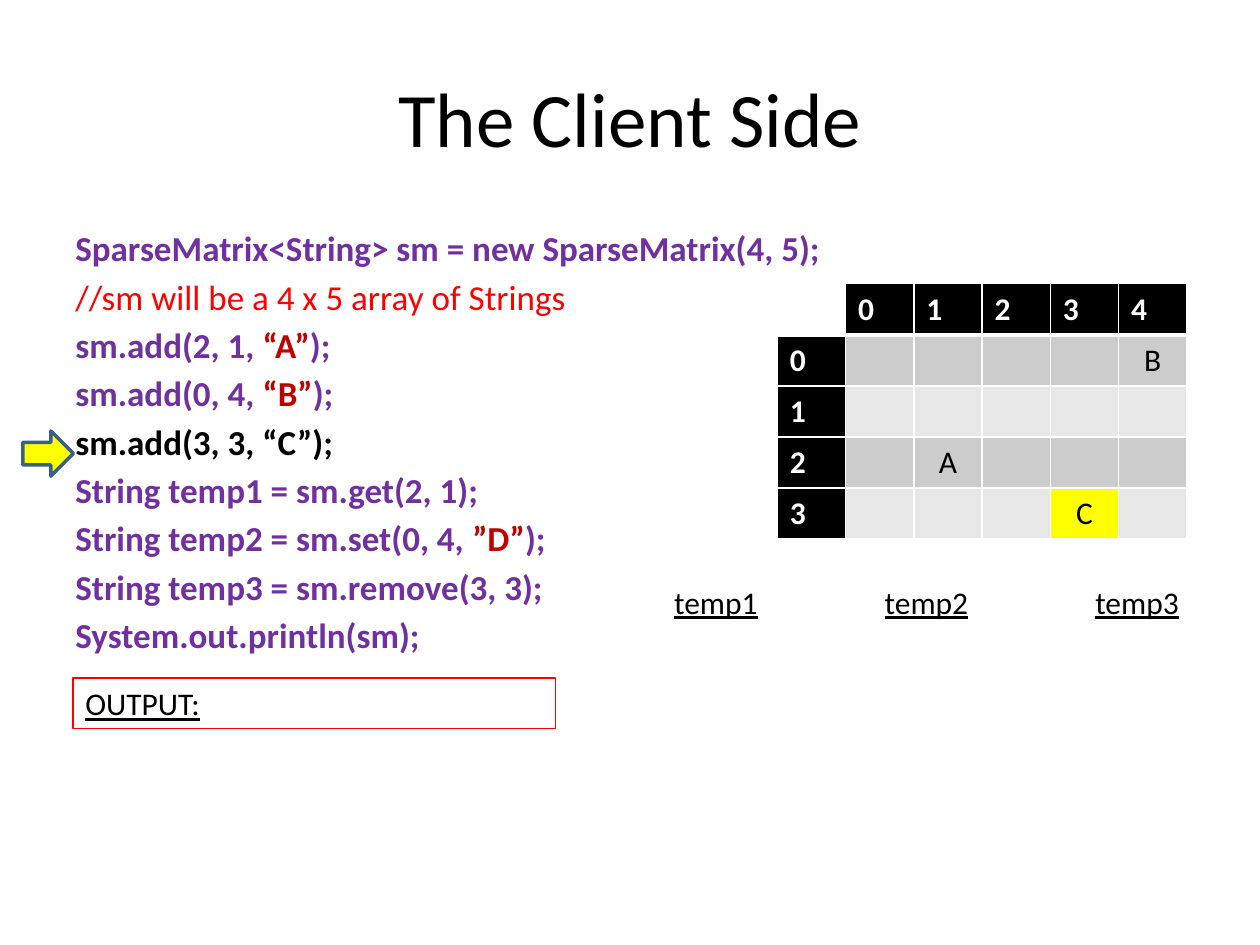
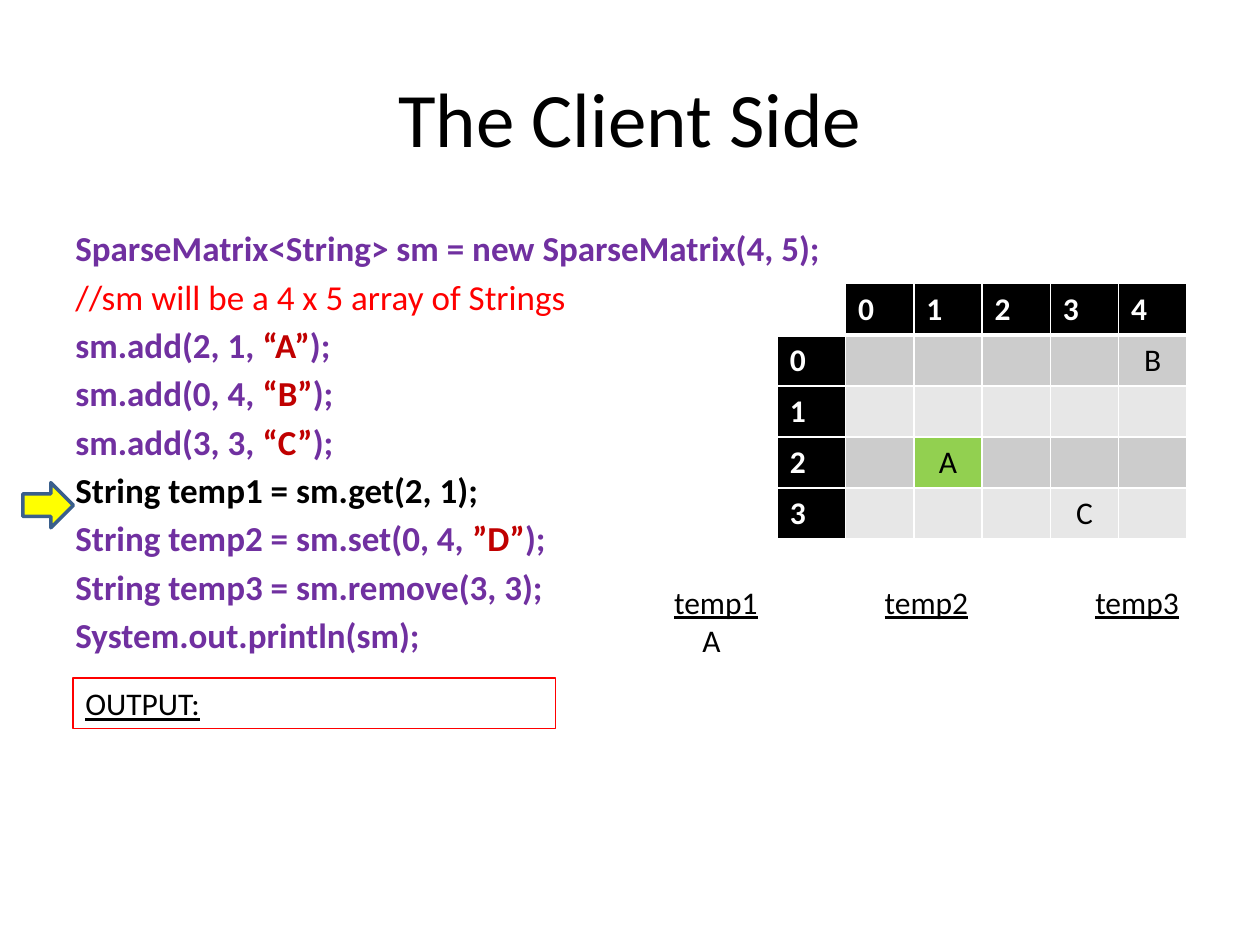
from dataclasses import dataclass

from lxml.etree import SubElement
from pptx import Presentation
from pptx.dml.color import RGBColor
from pptx.enum.shapes import MSO_SHAPE
from pptx.enum.text import MSO_ANCHOR, PP_ALIGN
from pptx.oxml import parse_xml
from pptx.oxml.ns import nsdecls, qn
from pptx.util import Cm, Pt


@dataclass(frozen=True)
class Theme:
    font: str = "Calibri"
    title_size: int = 44
    code_size: int = 20
    text_size: int = 18
    code_gap: float = 3.6
    black: str = "000000"
    white: str = "FFFFFF"
    code: str = "7030A0"
    literal: str = "C00000"
    red: str = "FF0000"
    yellow: str = "FFFF00"
    green: str = "92D050"
    arrow_line: str = "3A5F8C"
    bands: tuple = ("CCCCCC", "E7E7E7")


@dataclass(frozen=True)
class Step:
    active_line: int
    marked_cell: tuple
    mark_color: str
    temp1: str = ""


THEME = Theme()
TITLE = "The Client Side"
COMMENT = "//"
CODE_LINES = [
    ["SparseMatrix<String> sm = new SparseMatrix(4, 5);"],
    ["//sm will be a 4 x 5 array of Strings"],
    ["sm.add(2, 1, ", "“A”", ");"],
    ["sm.add(0, 4, ", "“B”", ");"],
    ["sm.add(3, 3, ", "“C”", ");"],
    ["String temp1 = sm.get(2, 1);"],
    ["String temp2 = sm.set(0, 4, ", "”D”", ");"],
    ["String temp3 = sm.remove(3, 3);"],
    ["System.out.println(sm);"],
]
MATRIX_ROWS, MATRIX_COLUMNS = 4, 5
MATRIX = {(0, 4): "B", (2, 1): "A", (3, 3): "C"}
TEMP_NAMES = ["temp1", "temp2", "temp3"]
TEMP_TAB = 4.245
STEPS = [
    Step(4, (3, 3), THEME.yellow),
    Step(5, (2, 1), THEME.green, "A"),
]


def rgb(color):
    return RGBColor.from_string(color)


def format_run(run, size, color=THEME.black, bold=False, underline=False):
    run.font.name = THEME.font
    run.font.size = Pt(size)
    run.font.color.rgb = rgb(color)
    run.font.bold = bold
    run.font.underline = underline


def add_run(paragraph, text, size, **style):
    run = paragraph.add_run()
    run.text = text
    format_run(run, size, **style)


def add_text_box(slide, left, top, width, height):
    box = slide.shapes.add_textbox(Cm(left), Cm(top), Cm(width), Cm(height))
    box.text_frame.word_wrap = True
    return box


def add_title(slide):
    title = slide.shapes.title
    title.left, title.top, title.width, title.height = Cm(1.27), Cm(0.76), Cm(22.86), Cm(3.18)
    title.text_frame.text = TITLE
    title.text_frame.vertical_anchor = MSO_ANCHOR.MIDDLE
    paragraph = title.text_frame.paragraphs[0]
    paragraph.alignment = PP_ALIGN.CENTER
    format_run(paragraph.runs[0], THEME.title_size)


def add_code(slide, active_line):
    frame = add_text_box(slide, 1.27, 4.45, 22.86, 12.57).text_frame
    for index, parts in enumerate(CODE_LINES):
        paragraph = frame.add_paragraph() if index else frame.paragraphs[0]
        paragraph.space_before = Pt(THEME.code_gap if index else 0)
        comment = parts[0].startswith(COMMENT)
        if index == active_line:
            colors = [THEME.black] * len(parts)
        elif comment:
            colors = [THEME.red]
        else:
            colors = [THEME.code, THEME.literal, THEME.code]
        for part, color in zip(parts, colors):
            add_run(paragraph, part, THEME.code_size, color=color, bold=not comment)


def set_borders(cell, top, bottom):
    properties = cell._tc.get_or_add_tcPr()
    widths = {"lnL": 1, "lnR": 1, "lnT": top, "lnB": bottom}
    for position, (side, width) in enumerate(widths.items()):
        border = parse_xml(
            f'<a:{side} {nsdecls("a")} w="{Pt(width)}"><a:solidFill>'
            f'<a:srgbClr val="{THEME.white}"/></a:solidFill></a:{side}>'
        )
        properties.insert(position, border)


def fill_cell(cell, text, fill, color, header):
    cell.fill.solid()
    cell.fill.fore_color.rgb = rgb(fill)
    if text:
        cell.text_frame.text = text
        paragraph = cell.text_frame.paragraphs[0]
        paragraph.alignment = PP_ALIGN.LEFT if header else PP_ALIGN.CENTER
        format_run(paragraph.runs[0], THEME.text_size, color, bold=header)


def add_matrix(slide, step):
    table = slide.shapes.add_table(
        MATRIX_ROWS + 1, MATRIX_COLUMNS + 1, Cm(15.67), Cm(5.72), Cm(8.26), Cm(5.15)
    ).table
    table.first_row = table.horz_banding = False
    for row in range(MATRIX_ROWS + 1):
        for column in range(MATRIX_COLUMNS + 1):
            cell = table.cell(row, column)
            position = (row - 1, column - 1)
            if row == 0 and column == 0:
                fill_cell(cell, "", THEME.white, THEME.black, True)
            elif row == 0 or column == 0:
                fill_cell(cell, str(max(position)), THEME.black, THEME.white, True)
            else:
                band = THEME.bands[position[0] % 2]
                fill = step.mark_color if position == step.marked_cell else band
                fill_cell(cell, MATRIX.get(position, ""), fill, THEME.black, False)
            set_borders(cell, 3 if row == 1 else 1, 3 if row == 0 else 1)


def add_temps(slide, value):
    frame = add_text_box(slide, 13.34, 11.63, 10.8, 1.8 if value else 1.02).text_frame
    names = frame.paragraphs[0]
    tabs = SubElement(names._p.get_or_add_pPr(), qn("a:tabLst"))
    for index, name in enumerate(TEMP_NAMES):
        if index:
            SubElement(tabs, qn("a:tab"), pos=str(Cm(TEMP_TAB * index)), algn="l")
            add_run(names, "\t", THEME.text_size)
        add_run(names, name, THEME.text_size, underline=True)
    if value:
        paragraph = frame.add_paragraph()
        paragraph._p.get_or_add_pPr().set("marL", str(Cm(0.57)))
        add_run(paragraph, value, THEME.text_size)


def add_output(slide):
    box = add_text_box(slide, 1.47, 13.67, 9.73, 1.02)
    box.line.color.rgb = rgb(THEME.red)
    box.line.width = Pt(0.75)
    add_run(box.text_frame.paragraphs[0], "OUTPUT:", THEME.text_size, underline=True)


def add_arrow(slide, active_line):
    top = 4.53 + 1.04 * active_line
    arrow = slide.shapes.add_shape(
        MSO_SHAPE.RIGHT_ARROW, Cm(0.46), Cm(top), Cm(1.02), Cm(0.91)
    )
    arrow.shadow.inherit = False
    arrow.fill.solid()
    arrow.fill.fore_color.rgb = rgb(THEME.yellow)
    arrow.line.color.rgb = rgb(THEME.arrow_line)
    arrow.line.width = Pt(2)


def main():
    presentation = Presentation()
    presentation.slide_width, presentation.slide_height = Cm(25.4), Cm(19.05)
    title_only = presentation.slide_layouts.get_by_name("Title Only")
    for step in STEPS:
        slide = presentation.slides.add_slide(title_only)
        add_title(slide)
        add_code(slide, step.active_line)
        add_matrix(slide, step)
        add_temps(slide, step.temp1)
        add_output(slide)
        add_arrow(slide, step.active_line)
    presentation.save("out.pptx")


if __name__ == "__main__":
    main()
